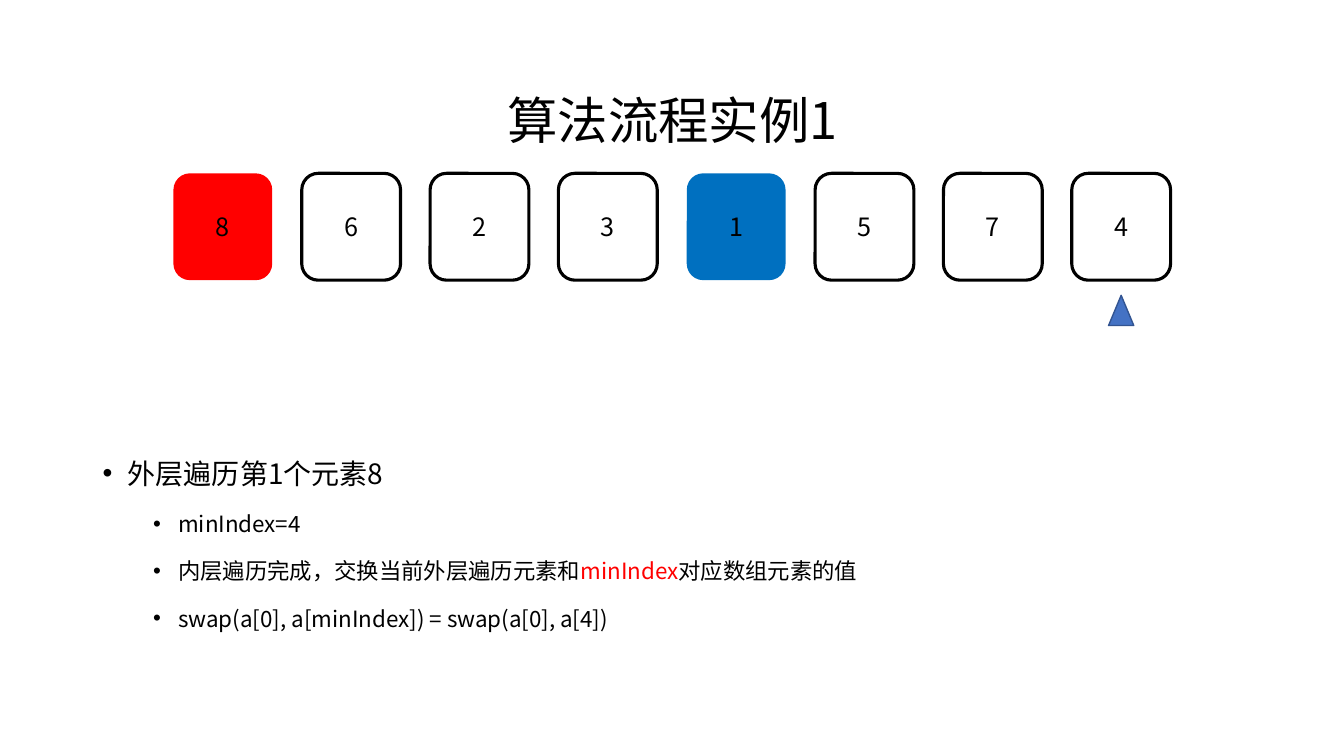
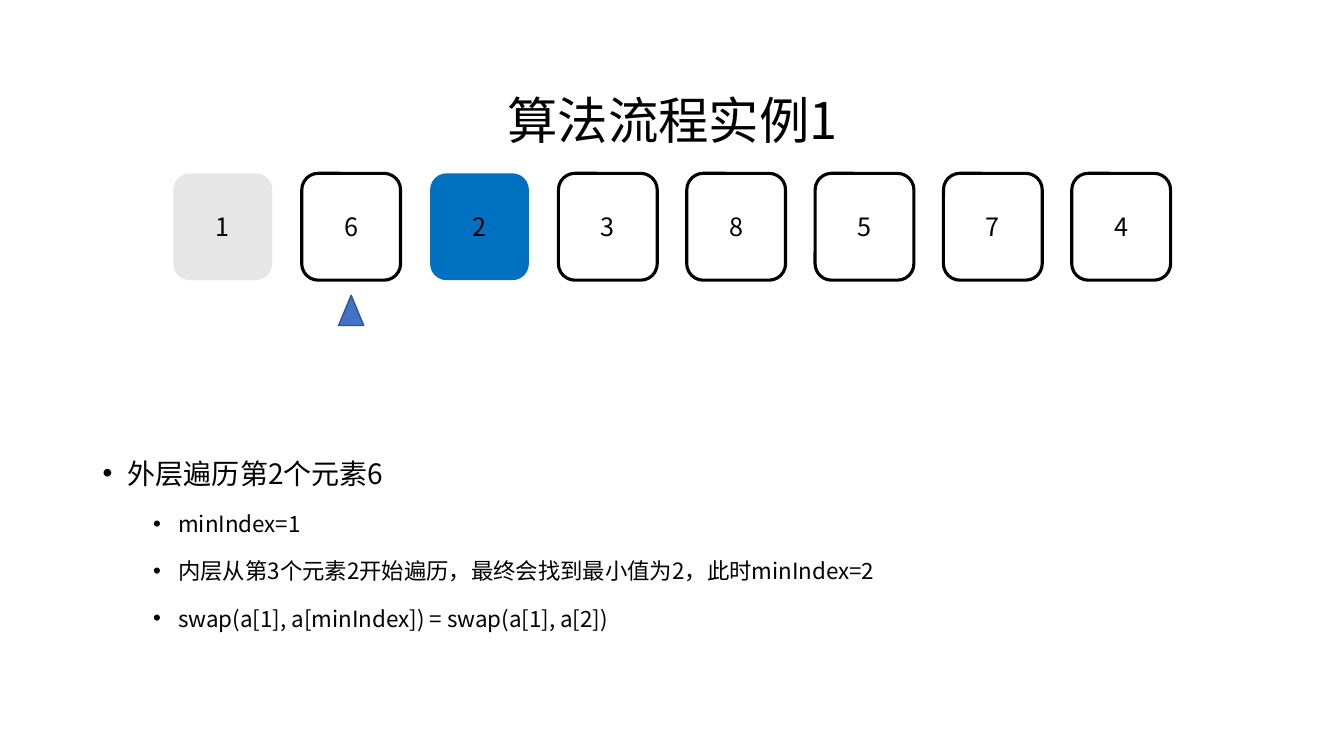
from pptx import Presentation
from pptx.dml.color import RGBColor
from pptx.enum.shapes import MSO_SHAPE
from pptx.enum.text import MSO_ANCHOR, PP_ALIGN
from pptx.oxml.ns import qn
from pptx.util import Inches, Pt
from lxml import etree

FONT = "Noto Sans CJK SC"
BLACK = RGBColor(0x00, 0x00, 0x00)
RED = RGBColor(0xFF, 0x00, 0x00)
BLUE = RGBColor(0x00, 0x70, 0xC0)
GRAY = RGBColor(0xE7, 0xE6, 0xE6)
POINTER_FILL = RGBColor(0x44, 0x72, 0xC4)
POINTER_LINE = RGBColor(0x32, 0x54, 0x91)

TITLE = "算法流程实例1"
STEPS = [
    {
        "values": [8, 6, 2, 3, 1, 5, 7, 4],
        "fills": {0: RED, 4: BLUE},
        "pointer": 7,
        "heading": "外层遍历第1个元素8",
        "details": [
            ["minIndex=4"],
            ["内层遍历完成，交换当前外层遍历元素和", ("minIndex", RED), "对应数组元素的值"],
            ["swap(a[0], a[minIndex]) = swap(a[0], a[4])"],
        ],
    },
    {
        "values": [1, 6, 2, 3, 8, 5, 7, 4],
        "fills": {0: GRAY, 2: BLUE},
        "pointer": 1,
        "heading": "外层遍历第2个元素6",
        "details": [
            ["minIndex=1"],
            ["内层从第3个元素2开始遍历，最终会找到最小值为2，此时minIndex=2"],
            ["swap(a[1], a[minIndex]) = swap(a[1], a[2])"],
        ],
    },
]

MARGIN, CONTENT_W = 0.92, 11.5
CELL_W, CELL_H, CELL_TOP = 0.98, 1.06, 1.72
FIRST_CELL, LAST_CELL = 1.72, 10.63
POINTER_W, POINTER_H, POINTER_TOP = 0.25, 0.3, 2.93


def write(paragraph, parts, size, align=None, spacing=None, before=None, level=0, bullet=False):
    paragraph.level = level
    paragraph.alignment = align
    paragraph.line_spacing = spacing
    if before is not None:
        paragraph.space_before = Pt(before)
    if bullet:
        props = paragraph._p.get_or_add_pPr()
        props.set("marL", str(Inches(0.25 + 0.5 * level)))
        props.set("indent", str(Inches(-0.25)))
        etree.SubElement(props, qn("a:buFont"), typeface="Arial")
        etree.SubElement(props, qn("a:buChar"), char="•")
    for part in parts:
        words, color = part if isinstance(part, tuple) else (part, BLACK)
        run = paragraph.add_run()
        run.text = words
        run.font.size = Pt(size)
        run.font.name = FONT
        run.font.color.rgb = color
        latin = run._r.get_or_add_rPr().find(qn("a:latin"))
        latin.addnext(latin.makeelement(qn("a:ea"), {"typeface": FONT}))


def add_frame(slide, top, height, anchor):
    box = slide.shapes.add_textbox(Inches(MARGIN), Inches(top), Inches(CONTENT_W), Inches(height))
    frame = box.text_frame
    frame.word_wrap = True
    frame.vertical_anchor = anchor
    return frame


def add_figure(slide, kind, left, top, width, height, fill=None, line=None, weight=1):
    figure = slide.shapes.add_shape(kind, Inches(left), Inches(top), Inches(width), Inches(height))
    figure.shadow.inherit = False
    if fill is None:
        figure.fill.background()
    else:
        figure.fill.solid()
        figure.fill.fore_color.rgb = fill
    if line is None:
        figure.line.fill.background()
    else:
        figure.line.color.rgb = line
        figure.line.width = Pt(weight)
    return figure


def add_array(slide, values, fills, pointer):
    pitch = (LAST_CELL - FIRST_CELL) / (len(values) - 1)
    for index, value in enumerate(values):
        fill = fills.get(index)
        cell = add_figure(slide, MSO_SHAPE.ROUNDED_RECTANGLE, FIRST_CELL + index * pitch, CELL_TOP,
                          CELL_W, CELL_H, fill, None if fill else BLACK, 2.25)
        cell.text_frame.vertical_anchor = MSO_ANCHOR.MIDDLE
        write(cell.text_frame.paragraphs[0], [str(value)], 18, align=PP_ALIGN.CENTER)
    pointer_left = FIRST_CELL + pointer * pitch + (CELL_W - POINTER_W) / 2
    add_figure(slide, MSO_SHAPE.ISOSCELES_TRIANGLE, pointer_left, POINTER_TOP,
               POINTER_W, POINTER_H, POINTER_FILL, POINTER_LINE)


def add_step(deck, step):
    slide = deck.slides.add_slide(deck.slide_layouts[6])
    notes = add_frame(slide, 4.31, 2.79, MSO_ANCHOR.TOP)
    write(notes.paragraphs[0], [step["heading"]], 20, spacing=1.5, bullet=True)
    for detail in step["details"]:
        write(notes.add_paragraph(), detail, 16, spacing=1.5, before=5, level=1, bullet=True)
    title = add_frame(slide, 0.4, 1.45, MSO_ANCHOR.MIDDLE)
    write(title.paragraphs[0], [TITLE], 36, align=PP_ALIGN.CENTER, spacing=1.2)
    add_array(slide, step["values"], step["fills"], step["pointer"])


def main():
    deck = Presentation()
    deck.slide_width = Inches(13.33)
    deck.slide_height = Inches(7.5)
    for step in STEPS:
        add_step(deck, step)
    deck.save("out.pptx")


if __name__ == "__main__":
    main()
